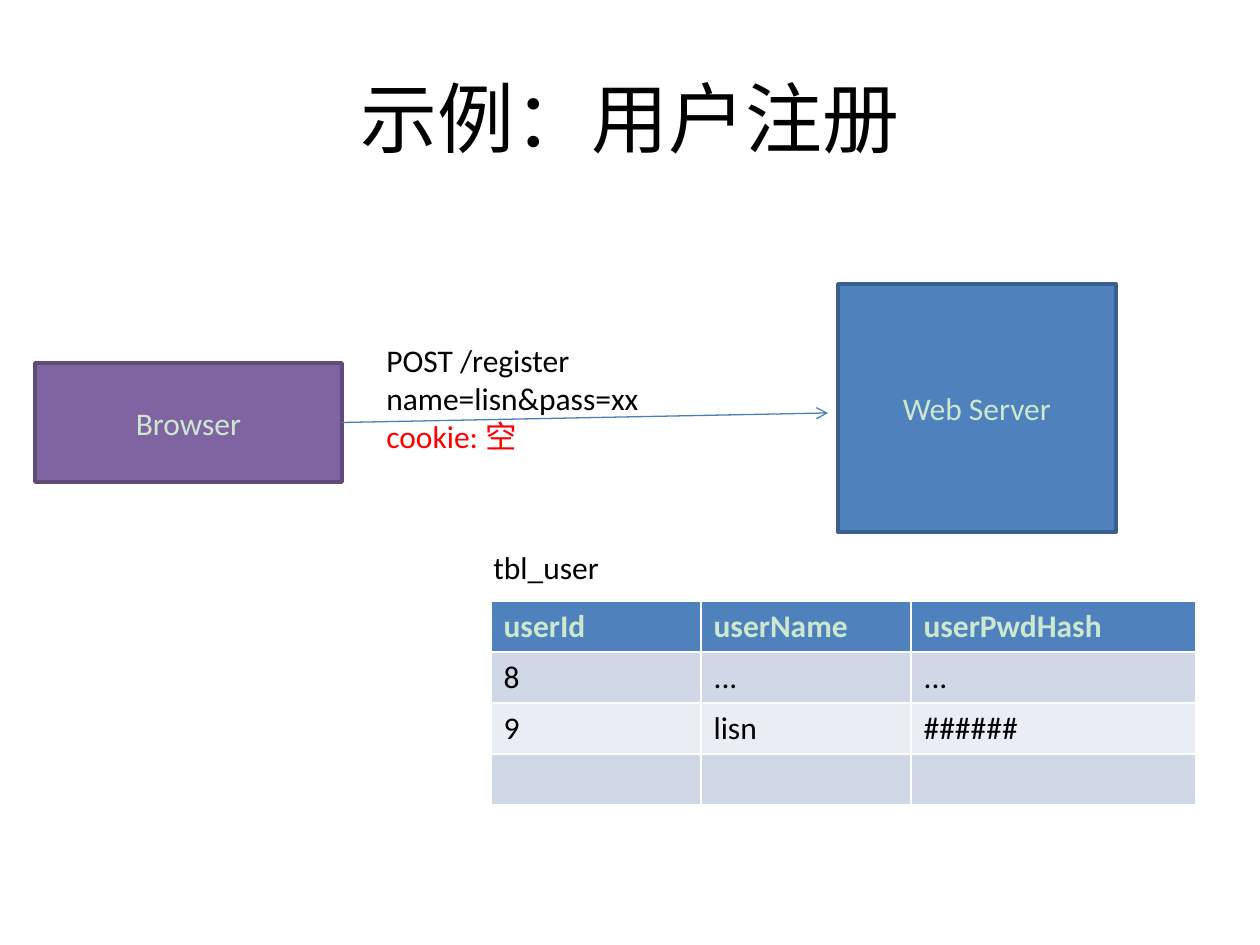
"""Build the user registration example slide."""
import pptx
import pptx.dml.color
import pptx.enum.shapes
import pptx.enum.text
import pptx.oxml
import pptx.util

PX = 914400 / 126
FONT = "Calibri"
BLACK, PALE, RED, BLUE = "000000", "CCE8CF", "FF0000", "4F81BD"
BANDS = ["D0D8E8", "E9EDF4"]

TITLE = ("示例：用户注册", (63, 38, 1134, 158))
BOXES = {
    "Browser": ((35, 363, 307, 119), "8064A2", "5F4A78"),
    "Web Server": ((838, 284, 278, 248), BLUE, "3A5F8C"),
}
ARROW_END = (828, 413)
REQUEST = (["POST /register", "name=lisn&pass=xx", "cookie: 空"], (374, 335, 466, 165))
REQUEST_COLORS = [BLACK, BLACK, RED]
TABLE_NAME = ("tbl_user", (481, 542, 238, 50))
TABLE_AT = (491, 601)
COLUMN_WIDTHS = [210, 210, 285]
ROW_HEIGHT = 51
ROWS = [
    ["userId", "userName", "userPwdHash"],
    ["8", "...", "..."],
    ["9", "lisn", "######"],
    ["", "", ""],
]


def emu(*lengths):
    return [pptx.util.Emu(round(length * PX)) for length in lengths]


def rgb(value):
    return pptx.dml.color.RGBColor.from_string(value)


def write(frame, lines, colors, size=18, bold=False, centered=False, middle=False):
    align = pptx.enum.text.PP_ALIGN
    anchor = pptx.enum.text.MSO_ANCHOR
    frame.word_wrap = True
    frame.vertical_anchor = anchor.MIDDLE if middle else anchor.TOP
    for index, (line, color) in enumerate(zip(lines, colors)):
        paragraph = frame.add_paragraph() if index else frame.paragraphs[0]
        paragraph.alignment = align.CENTER if centered else align.LEFT
        font = paragraph.font
        if line:
            run = paragraph.add_run()
            run.text = line
            font = run.font
        font.name, font.size, font.bold = FONT, pptx.util.Pt(size), bold
        font.color.rgb = rgb(color)


def add_box(slide, label, place, fill, line):
    shape = slide.shapes.add_shape(pptx.enum.shapes.MSO_SHAPE.RECTANGLE, *emu(*place))
    shape.shadow.inherit = False
    shape.fill.solid()
    shape.fill.fore_color.rgb = rgb(fill)
    shape.line.color.rgb = rgb(line)
    shape.line.width = pptx.util.Pt(2)
    write(shape.text_frame, [label], [PALE], centered=True, middle=True)
    return shape


def add_arrow(slide, source, end):
    connector = slide.shapes.add_connector(
        pptx.enum.shapes.MSO_CONNECTOR.STRAIGHT, 0, 0, *emu(*end))
    connector.begin_connect(source, 3)
    connector.line.color.rgb = rgb("4B7EBC")
    connector.line.width = pptx.util.Pt(0.75)
    namespace = pptx.oxml.ns.nsdecls("a")
    connector.line._get_or_add_ln().append(
        pptx.oxml.parse_xml(f'<a:tailEnd {namespace} type="arrow"/>'))
    connector._element.spPr.append(pptx.oxml.parse_xml(f"<a:effectLst {namespace}/>"))


def add_text(slide, lines, colors, place):
    write(slide.shapes.add_textbox(*emu(*place)).text_frame, lines, colors)


def add_user_table(slide):
    size = (sum(COLUMN_WIDTHS), ROW_HEIGHT * len(ROWS))
    table = slide.shapes.add_table(
        len(ROWS), len(COLUMN_WIDTHS), *emu(*TABLE_AT, *size)).table
    for column, width in zip(table.columns, emu(*COLUMN_WIDTHS)):
        column.width = width
    for row_index, row in enumerate(ROWS):
        header = row_index == 0
        for column_index, value in enumerate(row):
            cell = table.cell(row_index, column_index)
            cell.fill.solid()
            cell.fill.fore_color.rgb = rgb(BLUE if header else BANDS[(row_index - 1) % 2])
            write(cell.text_frame, [value], [PALE if header else BLACK], bold=header)


def main():
    presentation = pptx.Presentation()
    presentation.slide_width, presentation.slide_height = emu(1260, 945)
    slide = presentation.slides.add_slide(presentation.slide_layouts[5])
    title = slide.shapes.title
    title.left, title.top, title.width, title.height = emu(*TITLE[1])
    write(title.text_frame, [TITLE[0]], [BLACK], size=44, centered=True, middle=True)
    boxes = {label: add_box(slide, label, *style) for label, style in BOXES.items()}
    add_arrow(slide, boxes["Browser"], ARROW_END)
    add_text(slide, REQUEST[0], REQUEST_COLORS, REQUEST[1])
    add_user_table(slide)
    add_text(slide, [TABLE_NAME[0]], [BLACK], TABLE_NAME[1])
    presentation.save("out.pptx")


if __name__ == "__main__":
    main()
